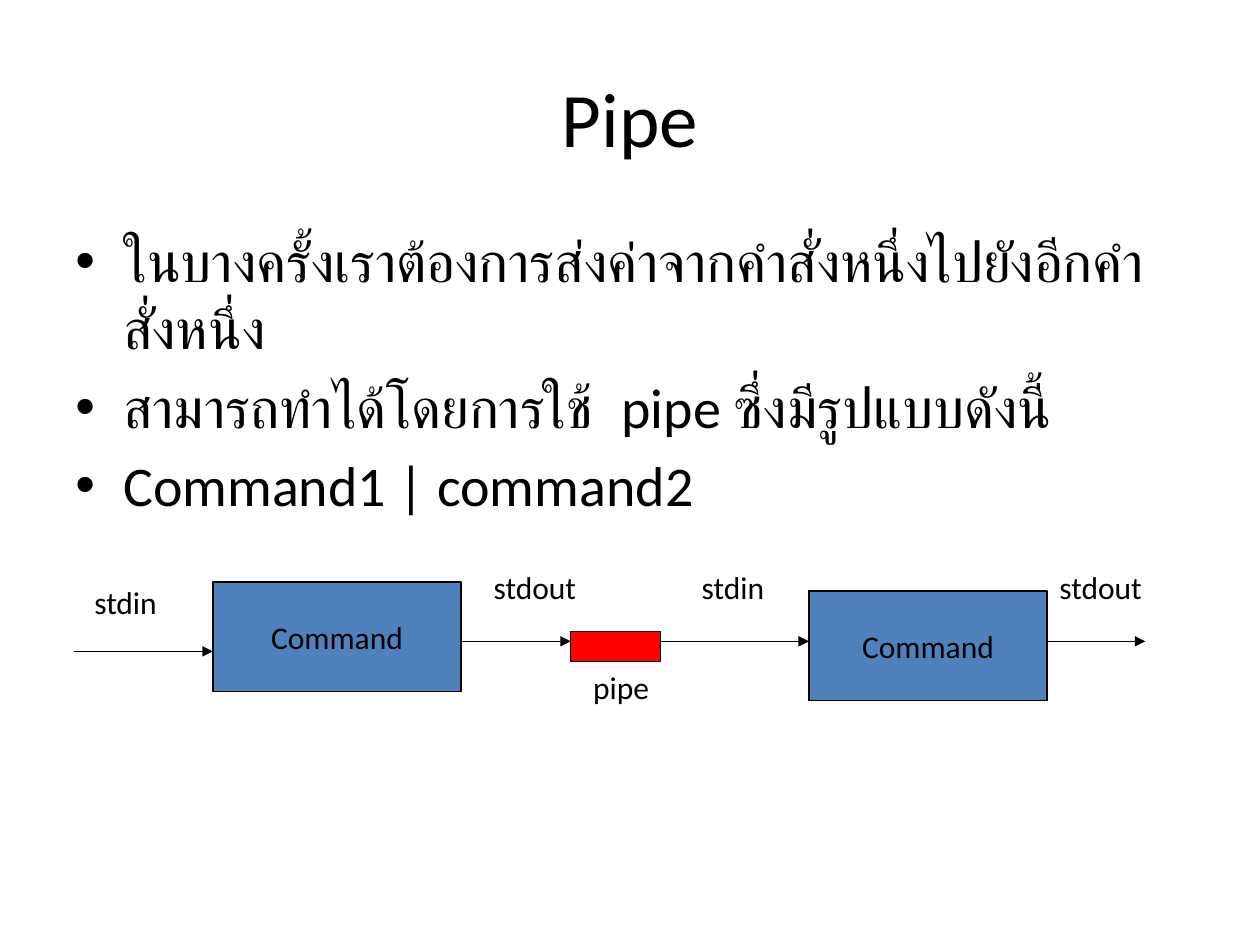
from lxml.etree import SubElement
from pptx import Presentation
from pptx.dml.color import RGBColor
from pptx.enum.shapes import MSO_CONNECTOR, MSO_SHAPE
from pptx.enum.text import MSO_ANCHOR, PP_ALIGN
from pptx.oxml.ns import qn
from pptx.util import Inches, Pt

COLORS = {"text": "000000", "line": "000000", "command": "4F81BD", "pipe": "FF0000"}


def color(name):
    return RGBColor.from_string(COLORS[name])


def format_text(text_frame, size, alignment):
    for paragraph in text_frame.paragraphs:
        paragraph.alignment = alignment
        for run in paragraph.runs:
            run.font.name = "Calibri"
            run.font.size = Pt(size)
            run.font.color.rgb = color("text")


presentation = Presentation()
presentation.slide_width = Inches(10)
presentation.slide_height = Inches(7.5)
slide = presentation.slides.add_slide(presentation.slide_layouts[5])

# Title
title = slide.shapes.title
title.left, title.top = Inches(0.5), Inches(0.3)
title.width, title.height = Inches(9), Inches(1.25)
title.text_frame.text = "Pipe"
title.text_frame.vertical_anchor = MSO_ANCHOR.MIDDLE
format_text(title.text_frame, 44, PP_ALIGN.CENTER)

# Bullet list
body = slide.shapes.add_textbox(Inches(0.5), Inches(1.75), Inches(9), Inches(4.95))
body.text_frame.word_wrap = True
body.text_frame.text = "\n".join([
    "ในบางครั้งเราต้องการส่งค่าจากคำสั่งหนึ่งไปยังอีกคำสั่งหนึ่ง",
    "สามารถทำได้โดยการใช้  pipe ซึ่งมีรูปแบบดังนี้",
    "Command1 | command2",
])
format_text(body.text_frame, 32, PP_ALIGN.LEFT)
for paragraph in body.text_frame.paragraphs:
    paragraph.space_before = Pt(6.4)
    properties = paragraph._p.get_or_add_pPr()
    properties.set("marL", str(Inches(0.38)))
    properties.set("indent", str(-Inches(0.38)))
    SubElement(properties, qn("a:buFont"), typeface="Arial")
    SubElement(properties, qn("a:buChar"), char="•")

# Commands and the pipe between them
boxes = [
    ("Command", "command", 1.69, 4.62, 1.97, 0.87),
    ("Command", "command", 6.42, 4.69, 1.89, 0.87),
    ("", "pipe", 4.53, 5.01, 0.71, 0.24),
]
for text, fill, left, top, width, height in boxes:
    box = slide.shapes.add_shape(
        MSO_SHAPE.RECTANGLE, Inches(left), Inches(top), Inches(width), Inches(height))
    box.shadow.inherit = False
    box.fill.solid()
    box.fill.fore_color.rgb = color(fill)
    box.line.color.rgb = color("line")
    box.line.width = Pt(0.75)
    box.text_frame.text = text
    box.text_frame.vertical_anchor = MSO_ANCHOR.MIDDLE
    format_text(box.text_frame, 18, PP_ALIGN.CENTER)

# Stream labels
labels = [
    ("stdin", 0.65, 4.58, 1.02),
    ("stdout", 3.82, 4.46, 1.26),
    ("stdin", 5.47, 4.46, 1.02),
    ("stdout", 8.31, 4.46, 1.26),
    ("pipe", 4.61, 5.25, 0.94),
]
for text, left, top, width in labels:
    label = slide.shapes.add_textbox(Inches(left), Inches(top), Inches(width), Inches(0.57))
    label.text_frame.word_wrap = True
    label.text_frame.text = text
    format_text(label.text_frame, 18, PP_ALIGN.LEFT)

# Arrows along the data flow
arrows = [(0.59, 1.69, 5.17), (3.66, 4.53, 5.09), (5.24, 6.42, 5.09), (8.31, 9.09, 5.09)]
for start, end, y in arrows:
    arrow = slide.shapes.add_connector(
        MSO_CONNECTOR.STRAIGHT, Inches(start), Inches(y), Inches(end), Inches(y))
    arrow.line.color.rgb = color("line")
    arrow.line.width = Pt(0.75)
    SubElement(arrow.line._get_or_add_ln(), qn("a:tailEnd"), type="triangle")
    SubElement(arrow._element.spPr, qn("a:effectLst"))

presentation.save("out.pptx")
